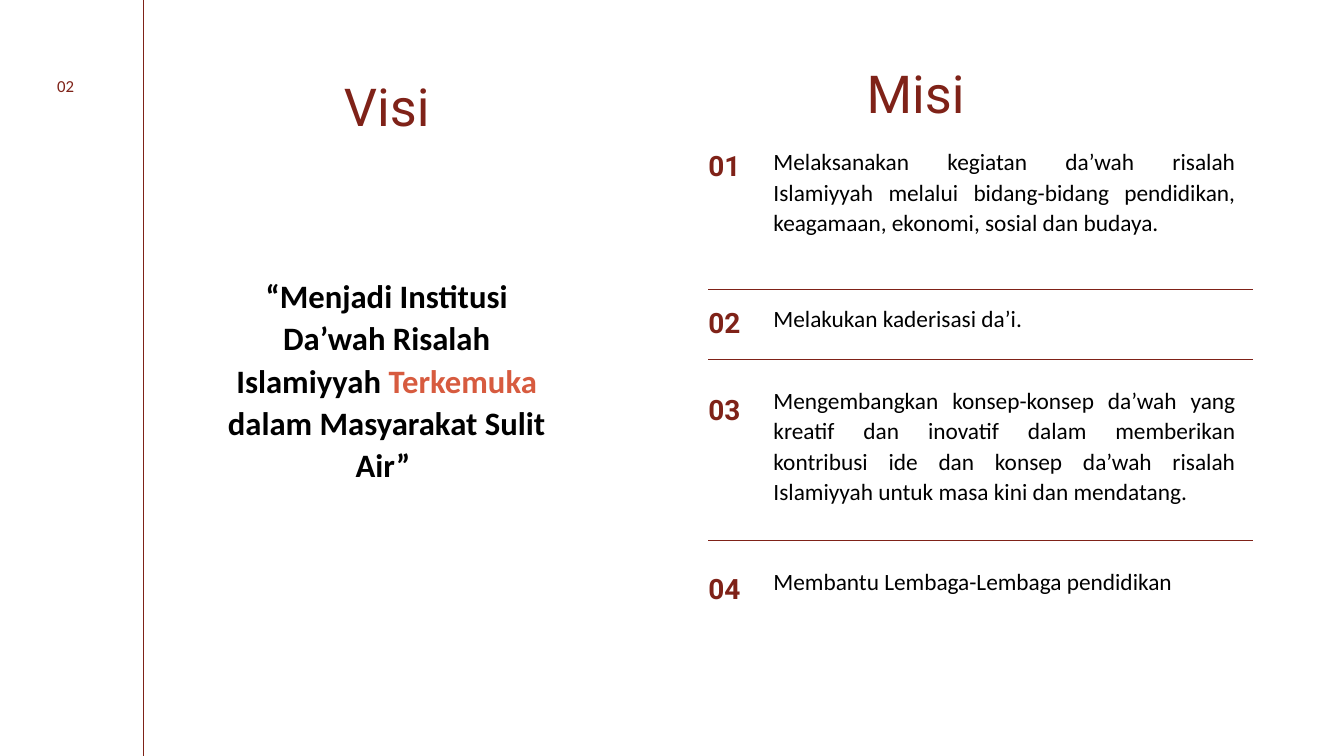
from lxml import etree
from pptx import Presentation
from pptx.dml.color import RGBColor
from pptx.enum.shapes import MSO_CONNECTOR
from pptx.enum.text import MSO_ANCHOR, MSO_AUTO_SIZE, PP_ALIGN
from pptx.oxml.ns import qn
from pptx.util import Inches, Pt

MAROON = RGBColor(0x7F, 0x22, 0x18)
CORAL = RGBColor(0xD7, 0x5B, 0x3F)
BLACK = RGBColor(0, 0, 0)

# number, text, text top, number top, alignment (tops relative to the list)
MISSIONS = [
    ("01", "Melaksanakan kegiatan da’wah risalah Islamiyyah melalui bidang-bidang "
     "pendidikan, keagamaan, ekonomi, sosial dan budaya.",
     0, 0.01, PP_ALIGN.JUSTIFY),
    ("02", "Melakukan kaderisasi da’i.", 2.33, 2.34, PP_ALIGN.JUSTIFY),
    ("03", "Mengembangkan konsep-konsep da’wah yang kreatif dan inovatif dalam "
     "memberikan kontribusi ide dan konsep da’wah risalah Islamiyyah untuk masa "
     "kini dan mendatang.", 3.55, 3.64, PP_ALIGN.JUSTIFY),
    ("04", "Membantu Lembaga-Lembaga pendidikan", 6.25, 6.31, PP_ALIGN.LEFT),
]
DIVIDERS = [2.15, 3.19, 5.88]


def write(sp, runs, size, font="Calibri", bold=False, align=PP_ALIGN.LEFT, leading=1.3):
    """Fill a shape with one paragraph of (text, colour) runs."""
    tf = sp.text_frame
    tf.word_wrap = True
    tf.auto_size = MSO_AUTO_SIZE.NONE
    tf.vertical_anchor = MSO_ANCHOR.TOP
    tf.margin_left = tf.margin_right = tf.margin_top = tf.margin_bottom = 0
    p = tf.paragraphs[0]
    p.alignment = align
    p.line_spacing = Pt(size * leading)
    p.space_before = Pt(0)
    for text, color in runs:
        r = p.add_run()
        r.text = text
        r.font.name = font
        r.font.size = Pt(size)
        r.font.bold = bold
        r.font.color.rgb = color


def add_text(s, x, y, w, h, runs, size, **style):
    sp = s.shapes.add_textbox(Inches(x), Inches(y), Inches(w), Inches(h))
    write(sp, runs, size, **style)


def add_rule(s, x1, y1, x2, y2):
    line = s.shapes.add_connector(
        MSO_CONNECTOR.STRAIGHT, Inches(x1), Inches(y1), Inches(x2), Inches(y2))
    line.line.color.rgb = MAROON
    line.line.width = Pt(0.75)
    etree.SubElement(line._element.spPr, qn("a:effectLst"))


def add_margin(s, w, h):
    """Page number and the rule that closes the left margin."""
    add_text(s, 0.82, 1.1, 0.31, 0.31, [("02", MAROON)], 18, align=PP_ALIGN.CENTER)
    add_rule(s, w, 0, w, h)


def add_vision(s, x, y, w):
    title = s.shapes.title
    title.left, title.top = Inches(x), Inches(y)
    title.width, title.height = Inches(w), Inches(0.94)
    write(title, [("Visi", MAROON)], 56, font="Roboto",
          align=PP_ALIGN.CENTER, leading=1.2)
    quote_w = 5.1
    add_text(s, x + (w - quote_w) / 2, y + 2.94, quote_w, 3.12,
             [("“Menjadi Institusi Da’wah Risalah Islamiyyah ", BLACK),
              ("Terkemuka ", CORAL),
              ("dalam Masyarakat Sulit Air” ", BLACK)],
             35, bold=True, align=PP_ALIGN.CENTER)


def add_mission(s, x, y, w):
    add_text(s, x - 0.6, y, 7.37, 0.94, [("Misi", MAROON)], 56, font="Roboto",
             align=PP_ALIGN.CENTER, leading=1.2)
    top = y + 1.25
    bottoms = DIVIDERS + [6.71]
    for (number, text, text_y, number_y, align), bottom in zip(MISSIONS, bottoms):
        add_text(s, x, top + number_y, 0.6, 0.54, [(number, MAROON)], 30,
                 font="Roboto", bold=True)
        add_text(s, x + 0.97, top + text_y, 6.87, bottom - text_y,
                 [(text, BLACK)], 25, align=align)
    for divider in DIVIDERS:
        add_rule(s, x, top + divider, x + w, top + divider)


def main():
    prs = Presentation()
    prs.slide_width, prs.slide_height = Inches(20), Inches(11.25)
    s = prs.slides.add_slide(prs.slide_layouts[5])
    add_margin(s, 2.14, 11.25)
    add_vision(s, 2.07, 1.11, 7.37)
    add_mission(s, 10.54, 0.91, 8.11)
    prs.save("out.pptx")


if __name__ == "__main__":
    main()
